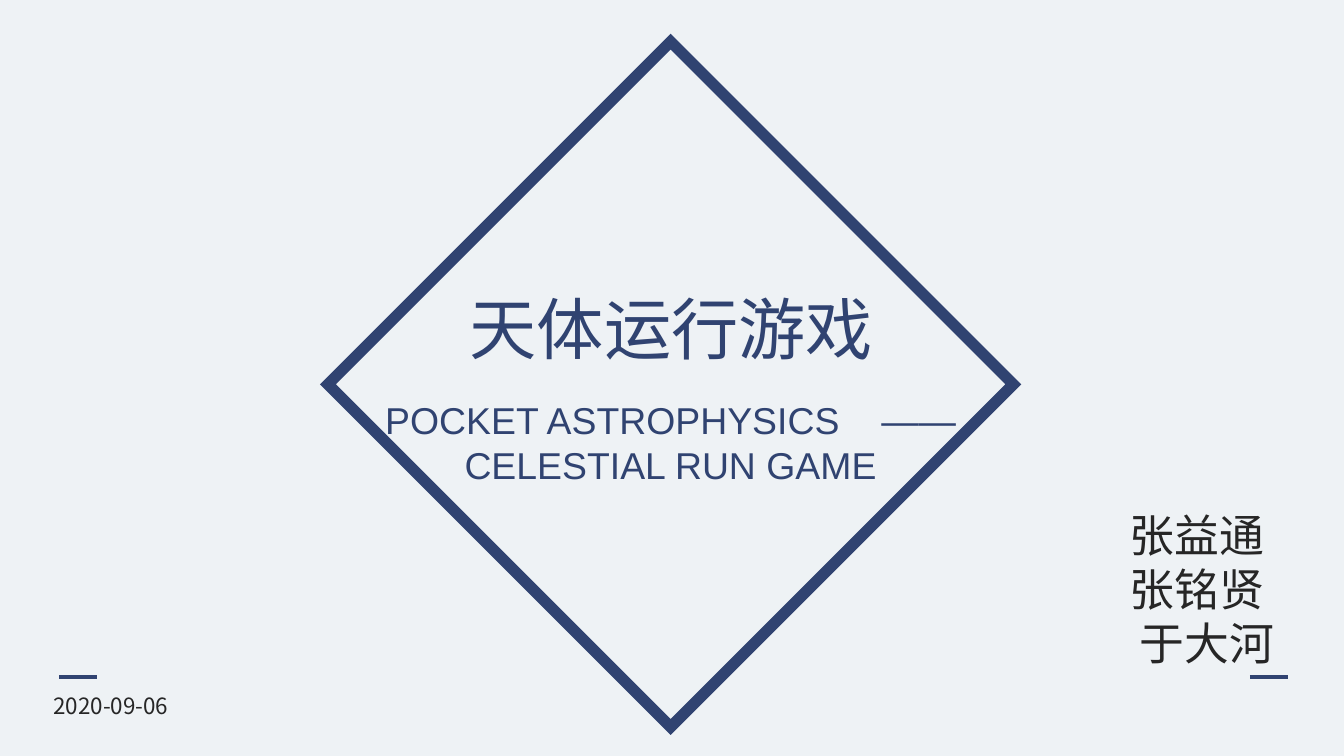
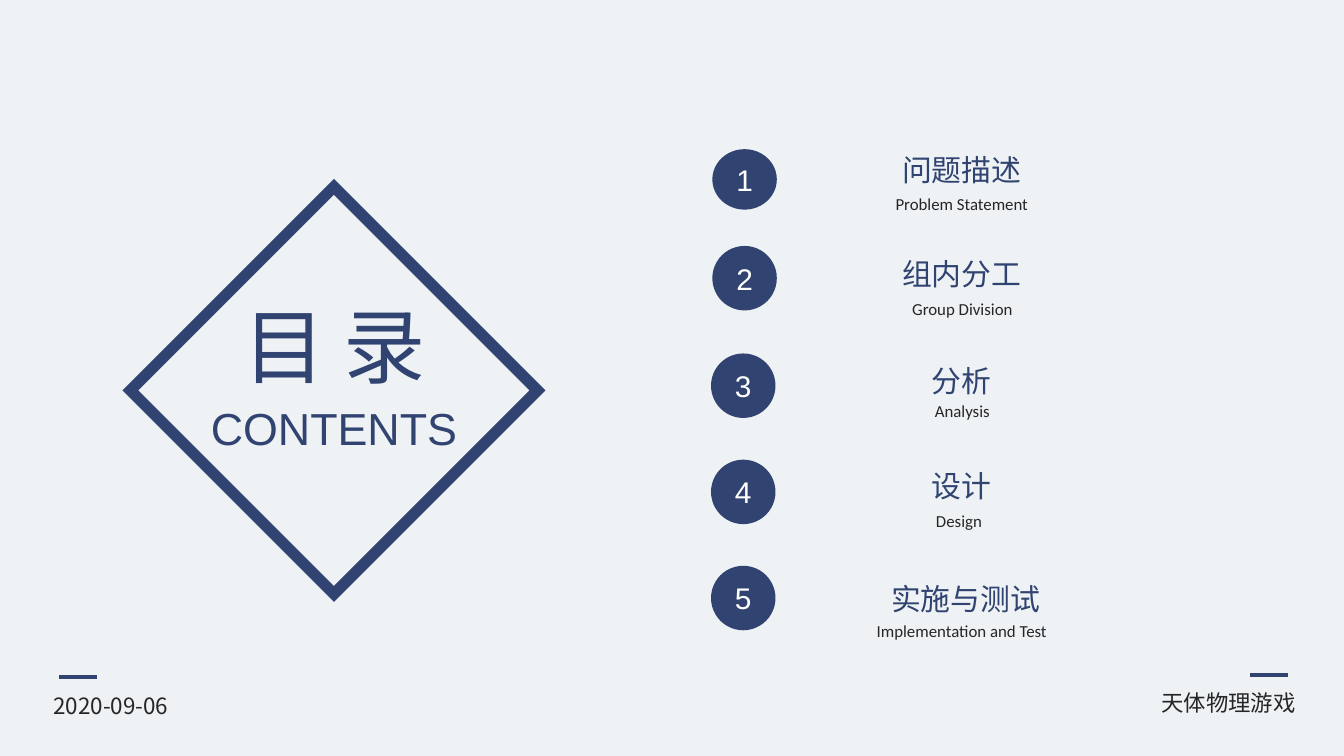
from lxml.etree import SubElement
from pptx import Presentation
from pptx.dml.color import RGBColor
from pptx.enum.shapes import MSO_CONNECTOR, MSO_SHAPE
from pptx.enum.text import MSO_ANCHOR, MSO_AUTO_SIZE, PP_ALIGN
from pptx.oxml.ns import qn
from pptx.util import Inches, Pt

NAVY, INK, PAPER, WHITE = "304371", "262626", "EEF2F5", "FFFFFF"
HAN, LATIN, SMALL = "Noto Sans CJK SC", "Arial", "Calibri"
LEFT, CENTER, RIGHT = PP_ALIGN.LEFT, PP_ALIGN.CENTER, PP_ALIGN.RIGHT
CELL = Inches(0.1)  # grid of 100 columns by 56.25 rows


def rgb(code):
    return RGBColor.from_string(code)


def grid(*cells):
    return [round(cell * CELL) for cell in cells]


class Deck:
    """Shared style and the slide being drawn."""

    def __init__(self):
        self.prs = Presentation()
        self.prs.slide_width, self.prs.slide_height = grid(100, 56.25)
        self.slide = None

    def new_slide(self):
        self.slide = self.prs.slides.add_slide(self.prs.slide_layouts[6])
        background = self.slide.background.fill
        background.solid()
        background.fore_color.rgb = rgb(PAPER)

    def run(self, paragraph, words, size, font, color, spacing=0):
        run = paragraph.add_run()
        run.text = words
        run.font.size = Pt(size)
        run.font.color.rgb = rgb(color)
        run.font.name = font
        props = run.font._element
        SubElement(props, qn("a:ea")).set("typeface", font)
        if spacing:
            props.set("spc", str(round(spacing * 100)))

    def text(self, box, lines, size, font=HAN, color=NAVY, align=CENTER, wrap=True):
        """Each line is a list of (words, letter spacing) pairs or a string."""
        frame = self.slide.shapes.add_textbox(*grid(*box)).text_frame
        frame.word_wrap = wrap
        frame.auto_size = MSO_AUTO_SIZE.SHAPE_TO_FIT_TEXT
        for i, line in enumerate(lines):
            paragraph = frame.add_paragraph() if i else frame.paragraphs[0]
            paragraph.alignment = align
            for words, spacing in [(line, 0)] if isinstance(line, str) else line:
                self.run(paragraph, words, size, font, color, spacing)

    def diamond(self, left, top, side):
        frame = self.slide.shapes.add_shape(
            MSO_SHAPE.DIAMOND, *grid(left, top, side, side))
        frame.shadow.inherit = False
        frame.fill.background()
        frame.line.color.rgb = rgb(NAVY)
        frame.line.width = Pt(6)
        # Sharp corners
        SubElement(frame.line._get_or_add_ln(), qn("a:miter")).set("lim", "800000")

    def badge(self, box, number):
        disc = self.slide.shapes.add_shape(MSO_SHAPE.OVAL, *grid(*box))
        disc.shadow.inherit = False
        disc.fill.solid()
        disc.fill.fore_color.rgb = rgb(NAVY)
        disc.line.fill.background()
        disc.text_frame.vertical_anchor = MSO_ANCHOR.MIDDLE
        paragraph = disc.text_frame.paragraphs[0]
        paragraph.alignment = CENTER
        self.run(paragraph, str(number), 16, LATIN, WHITE)

    def dash(self, left, top):
        rule = self.slide.shapes.add_connector(
            MSO_CONNECTOR.STRAIGHT, *grid(left, top, left + 2.8, top))
        rule.line.color.rgb = rgb(NAVY)
        rule.line.width = Pt(2.25)
        SubElement(rule._element.spPr, qn("a:effectLst"))

    def footer(self, right_dash_top):
        self.dash(4.4, 50.4)
        self.dash(93, right_dash_top)
        self.text((3, 51, 11.3, 3), ["2020-09-06"], 12,
                  color=INK, align=LEFT, wrap=False)


def cover(deck):
    deck.new_slide()
    # Title inside the diamond
    deck.text((33.9, 20.9, 32.1, 7.1), ["天体运行游戏"], 36)
    subtitle = [("POCKET ASTROPHYSICS", 0), (" ", 16.68), ("——CELESTIAL RUN GAME", 0)]
    deck.text((27.2, 29.1, 45.4, 7.7), [subtitle], 20, LATIN)
    # Authors
    deck.text((80.8, 37.3, 15, 13.1), ["张益通 ", " 张铭贤 ", "于大河"], 24,
              color=INK, align=RIGHT)
    deck.footer(50.4)
    deck.diamond(24.4, 3.1, 51)


def contents(deck):
    deck.new_slide()
    # Heading inside the diamond
    deck.diamond(9.7, 13.9, 30.3)
    deck.text((16.8, 21.5, 16.2, 8.4), ["目 录"], 44, wrap=False)
    deck.text((14.6, 29.3, 20.5, 5), ["CONTENTS"], 24, LATIN, wrap=False)

    # Chapters: badge box, then title and caption, each with left, top and width
    chapters = [
        ((53, 11.1, 4.8, 4.5), "问题描述", (63.4, 10.8, 16.3),
         "Problem Statement", (63, 13.9, 17.1)),
        ((53, 18.3, 4.8, 4.8), "组内分工", (62, 18.5, 19.1),
         "Group Division", (61.4, 21.7, 20.4)),
        ((52.9, 26.3, 4.8, 4.8), "分析", (67.4, 26.5, 8.3),
         "Analysis", (65.3, 29.3, 12.6)),
        ((52.9, 34.2, 4.8, 4.8), "设计", (64.1, 34.3, 14.9),
         "Design", (63, 37.5, 16.7)),
        ((52.9, 42.1, 4.8, 4.8), "实施与测试", (62.3, 42.7, 19.1),
         "Implementation and Test", (62.7, 45.7, 17.7)),
    ]
    for number, (disc, title, title_at, caption, caption_at) in enumerate(chapters, 1):
        deck.badge(disc, number)
        deck.text((*title_at, 3.7), [title], 16)
        deck.text((*caption_at, 2.5), [caption], 9, SMALL, INK)

    # Footer with the short project name
    deck.footer(50.2)
    deck.text((85.4, 50.8, 12, 3), ["天体物理游戏"], 12,
              color=INK, align=RIGHT, wrap=False)


def main():
    deck = Deck()
    cover(deck)
    contents(deck)
    deck.prs.save("out.pptx")


if __name__ == "__main__":
    main()
